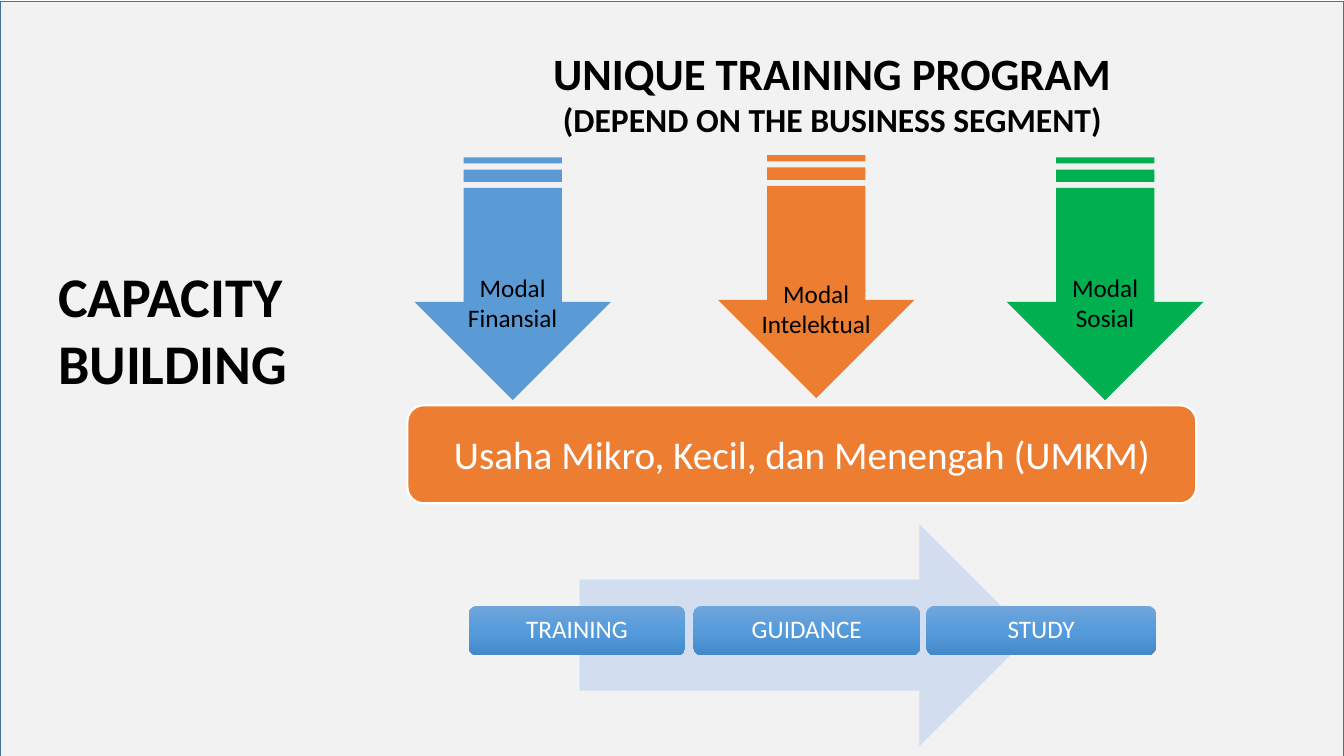
from copy import deepcopy
from pptx import Presentation
from pptx.dml.color import RGBColor
from pptx.enum.shapes import MSO_SHAPE
from pptx.enum.text import MSO_ANCHOR, PP_ALIGN
from pptx.util import Pt

BLACK, WHITE, ORANGE = "000000", "FFFFFF", "ED7D31"
STEP_GRADIENT = [(0, "71A6DB"), (0.5, "559BDB"), (1, "448ACA")]


def rgb(value):
    return RGBColor.from_string(value)


def add_shape(s, kind, x, y, w, h, fill=None, line=None, weight=1):
    sp = s.shapes.add_shape(kind, Pt(x), Pt(y), Pt(w), Pt(h))
    sp.shadow.inherit = False
    if fill:
        sp.fill.solid()
        sp.fill.fore_color.rgb = rgb(fill)
    if line:
        sp.line.color.rgb = rgb(line)
        sp.line.width = Pt(weight)
    else:
        sp.line.fill.background()
    return sp


def add_paragraph(tf, text, size, color=BLACK, bold=False, align=PP_ALIGN.CENTER, first=False):
    p = tf.paragraphs[0] if first else tf.add_paragraph()
    p.alignment = align
    r = p.add_run()
    r.text = text
    r.font.name = "Calibri"
    r.font.size = Pt(size)
    r.font.bold = bold
    r.font.color.rgb = rgb(color)
    return p


def add_text(s, x, y, w, h, lines, **style):
    tf = s.shapes.add_textbox(Pt(x), Pt(y), Pt(w), Pt(h)).text_frame
    tf.word_wrap = False
    for i, (text, size, align) in enumerate(lines):
        add_paragraph(tf, text, size, align=align, first=i == 0, **style)


def add_capital_arrow(s, center, top, label_top, color, label):
    length, width, label_width = 173.5, 140.4, 94
    sp = add_shape(s, MSO_SHAPE.STRIPED_RIGHT_ARROW, center - length / 2, top,
                   length, width, color)
    sp.rotation = 90
    add_text(s, center - label_width / 2, label_top, label_width, 51,
             [(word, 18, PP_ALIGN.CENTER) for word in ("Modal", label)])


def fill_gradient(sp, stops):
    sp.fill.gradient()
    sp.fill.gradient_angle = 270
    last = sp.fill.gradient_stops[-1]
    gs = sp.fill._fill._gradFill.gsLst[-1]
    gs.addnext(deepcopy(gs))
    for stop, (position, color) in zip(sp.fill.gradient_stops, stops):
        stop.position = position
        stop.color.rgb = rgb(color)


def add_step(s, x, w, text):
    sp = add_shape(s, MSO_SHAPE.ROUNDED_RECTANGLE, x, 432.7, w, 35.3)
    fill_gradient(sp, STEP_GRADIENT)
    tf = sp.text_frame
    tf.margin_left = tf.margin_right = tf.margin_top = tf.margin_bottom = Pt(5)
    tf.vertical_anchor = MSO_ANCHOR.MIDDLE
    p = add_paragraph(tf, text, 18, WHITE, first=True)
    p.line_spacing = 0.9


def main():
    prs = Presentation()
    prs.slide_width, prs.slide_height = Pt(960), Pt(540)
    s = prs.slides.add_slide(prs.slide_layouts[6])
    add_shape(s, MSO_SHAPE.RECTANGLE, 0, 1.2, 960, 540.7, "F2F2F2", "43739E")

    add_capital_arrow(s, 366.2, 128.9, 190.8, "5B9BD5", "Finansial")
    add_capital_arrow(s, 583, 127.4, 195.1, ORANGE, "Intelektual")
    add_capital_arrow(s, 789.4, 128.9, 190.8, "00B050", "Sosial")

    banner = add_shape(s, MSO_SHAPE.ROUNDED_RECTANGLE, 291, 289.5, 563.5, 70, ORANGE, WHITE, 1.5)
    banner.text_frame.vertical_anchor = MSO_ANCHOR.MIDDLE
    add_paragraph(banner.text_frame, "Usaha Mikro, Kecil, dan Menengah (UMKM)", 28, WHITE, first=True)

    add_text(s, 34.5, 183, 185, 104.4,
             [(word, 40, PP_ALIGN.LEFT) for word in ("CAPACITY", "BUILDING")], bold=True)
    add_text(s, 388, 29, 417, 75,
             [("UNIQUE TRAINING PROGRAM", 32, PP_ALIGN.LEFT),
              ("(DEPEND ON THE BUSINESS SEGMENT)", 24, PP_ALIGN.CENTER)], bold=True)

    add_shape(s, MSO_SHAPE.RIGHT_ARROW, 414, 374.5, 322, 158.4, "D2DEEF")
    for x, w, text in [(334.8, 154.8, "TRAINING"), (495.3, 162, "GUIDANCE"), (661.7, 164, "STUDY")]:
        add_step(s, x, w, text)

    prs.save("out.pptx")


if __name__ == "__main__":
    main()
